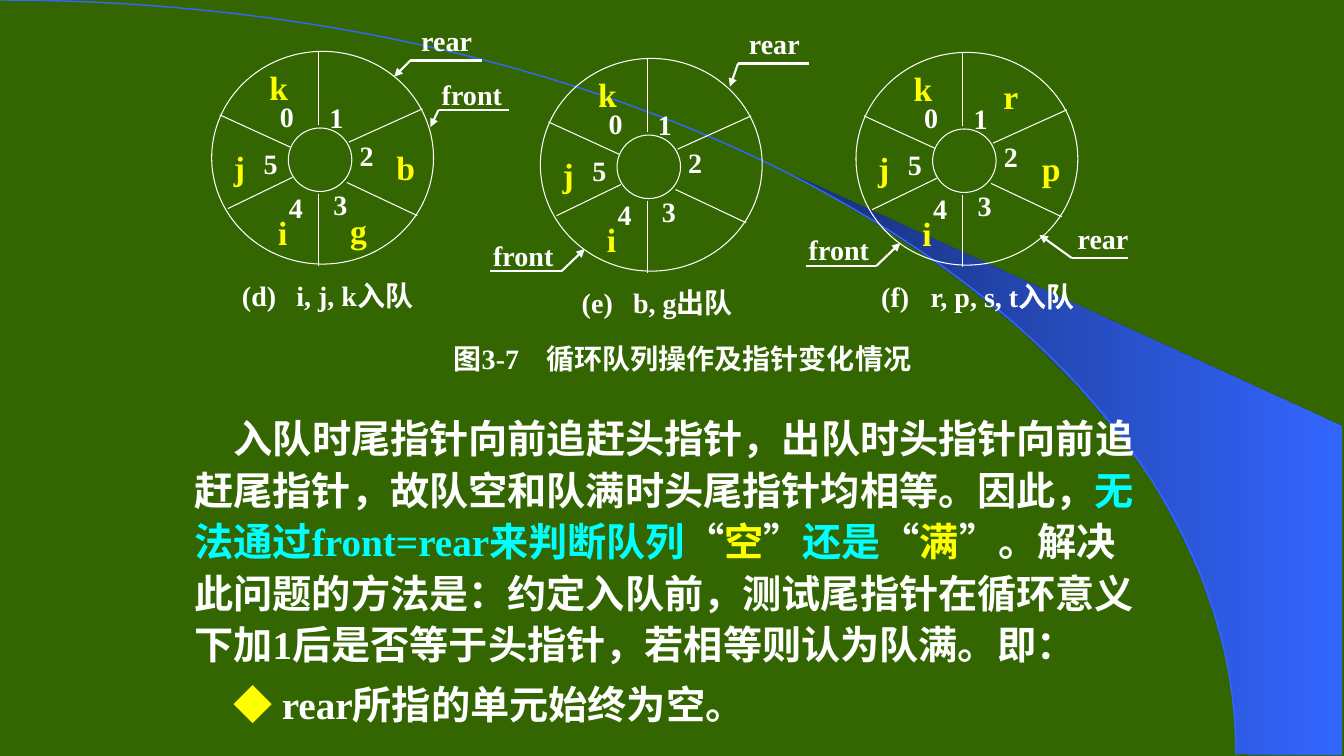
import pptx
import pptx.util
import pptx.dml.color
import pptx.enum.shapes
import pptx.enum.text
import pptx.oxml.ns
from lxml import etree
from dataclasses import dataclass


@dataclass(frozen=True)
class Theme:
    """Colours, fonts, type sizes and line widths."""
    back: str = "336600"
    white: str = "FFFFFF"
    gold: str = "FFFF00"
    aqua: str = "00FFFF"
    blue: str = "3366FF"
    navy: str = "182F76"
    latin: str = "Times New Roman"
    asian: str = "Noto Sans CJK SC"
    small: int = 20
    cell: int = 24
    body: int = 28
    thin: float = 0.75
    bold: float = 1.5


T = Theme()

# Offsets from the top left corner of a wheel
SPOKES = [((1.06, 0), (1.06, 0.73)), ((1.06, 1.41), (1.06, 2.13)),
          ((1.36, 0.9), (2.09, 0.57)), ((0.16, 1.56), (0.8, 1.25)),
          ((1.34, 1.3), (2.04, 1.63)), ((0.08, 0.63), (0.78, 0.95))]
DIGITS = [(0.55, 0.48), (1.04, 0.49), (1.34, 0.87),
          (1.08, 1.36), (0.64, 1.39), (0.39, 0.95)]
CELLS = {"i": (0.51, 1.6), "j": (0.08, 0.95), "k": (0.47, 0.16),
         "b": (1.73, 0.95), "g": (1.26, 1.58),
         "r": (1.34, 0.24), "p": (1.74, 0.95)}

# Pointers: name, centre and top of the name, elbow, far end, arrow tip
WHEELS = [
    {"at": (2.1, 0.51), "cells": "ijkbg",
     "title": ("(d)\ti, j, k入队", 2.4, 2.73, 0.54),
     "marks": [("rear", 4.43, 0.2, (4.07, 0.6), 4.78, (3.91, 0.76)),
               ("front", 4.68, 0.74, (4.35, 1.09), 5.05, (4.27, 1.26))]},
    {"at": (5.36, 0.58), "cells": "ijk",
     "title": ("(e)\tb, g出队", 5.77, 2.8, 0.51),
     "marks": [("rear", 7.68, 0.23, (7.32, 0.63), 8.02, (7.24, 0.86)),
               ("front", 5.19, 2.34, (5.57, 2.69), 4.86, (5.8, 2.47))]},
    {"at": (8.49, 0.52), "cells": "ijkrp",
     "title": ("(f)\tr, p, s, t入队", 8.74, 2.74, 0.49),
     "marks": [("front", 8.32, 2.28, (8.69, 2.64), 7.99, (8.93, 2.41)),
               ("rear", 10.94, 2.17, (10.63, 2.56), 11.19, (10.31, 2.33))]},
]
FIGURE = ("图3-7\t循环队列操作及指针变化情况", 4.5, 3.36, 0.92)

BODY = [
    [("入队时尾指针向前追赶头指针，出队时头指针向前追赶尾指针，"
      "故队空和队满时头尾指针均相等。因此，", T.white),
     ("无法通过", T.aqua), ("front=rear", T.aqua), ("来判断队列", T.aqua),
     ("“", T.white), ("空", T.gold), ("”", T.white), ("还是", T.aqua),
     ("“", T.white), ("满", T.gold),
     ("”。解决此问题的方法是：约定入队前，测试尾指针在循环意义下加", T.white),
     ("1", T.white), ("后是否等于头指针，若相等则认为队满。即：", T.white)],
    [("◆ ", T.gold), ("rear", T.white), ("所指的单元始终为空。", T.white)],
]
SWOOSH = [(12.27, 7.48), (13.31, 7.49), (13.31, 4.23), (7.86, 1.73),
          (8.32, 1.99), (8.7, 2.22), (9.13, 2.5), (9.55, 2.8), (10.16, 3.3),
          (10.7, 3.84), (11.1, 4.31), (11.44, 4.79), (11.71, 5.28),
          (11.91, 5.72), (12.04, 6.09), (12.17, 6.56), (12.23, 6.96)]
ARC = [(0, 0), (6.77, 0), (12.26, 3.35), (12.26, 7.49)]

Inches, Pt = pptx.util.Inches, pptx.util.Pt
Align = pptx.enum.text.PP_ALIGN
qn = pptx.oxml.ns.qn

deck = pptx.Presentation()
deck.slide_width, deck.slide_height = Inches(13.33), Inches(7.5)
slide = deck.slides.add_slide(deck.slide_layouts[6])
shapes = slide.shapes


def tint(code):
    """Turn a hex code into a colour."""
    return pptx.dml.color.RGBColor.from_string(code)


def ink(item, code, width):
    """Set the line colour and width of a shape."""
    item.line.color.rgb = tint(code)
    item.line.width = Pt(width)


def outline(points, close):
    """Add a freeform through points given in inches."""
    spots = [(Inches(x), Inches(y)) for x, y in points]
    maker = shapes.build_freeform(*spots[0], scale=1.0)
    maker.add_line_segments(spots[1:], close=close)
    item = maker.convert_to_shape()
    item.shadow.inherit = False
    return item


def curve(ends, steps=60):
    """Return points along a cubic curve."""
    spots = []
    for n in range(steps + 1):
        t = n / steps
        rates = [(1 - t) ** 3, 3 * t * (1 - t) ** 2, 3 * t * t * (1 - t), t ** 3]
        spots.append(tuple(sum(r * e[k] for r, e in zip(rates, ends))
                           for k in (0, 1)))
    return spots


def ring(x, y, wide, high):
    """Add an unfilled ellipse."""
    item = shapes.add_shape(pptx.enum.shapes.MSO_SHAPE.OVAL,
                            *map(Inches, (x, y, wide, high)))
    item.shadow.inherit = False
    item.fill.background()
    ink(item, T.white, T.thin)


def line(start, end, width, arrow=False):
    """Add a straight line, with an arrowhead at its end if asked."""
    item = shapes.add_connector(pptx.enum.shapes.MSO_CONNECTOR.STRAIGHT,
                                *map(Inches, (*start, *end)))
    ink(item, T.white, width)
    props = item._element.spPr
    if arrow:
        etree.SubElement(props.find(qn("a:ln")), qn("a:tailEnd"), type="triangle")
    etree.SubElement(props, qn("a:effectLst"))


def write(para, runs, size):
    """Fill a paragraph with bold runs of text and colour."""
    for text, code in runs:
        run = para.add_run()
        run.text = text
        font = run.font
        west = any(c.isascii() and c.isalnum() for c in text)
        font.name = T.latin if west else T.asian
        font.size, font.bold, font.color.rgb = Pt(size), True, tint(code)
        latin = run._r.rPr.find(qn("a:latin"))
        latin.addnext(etree.Element(qn("a:ea"), typeface=T.asian))


def frame(x, y, wide, high):
    """Add a text box and return its text frame."""
    return shapes.add_textbox(*map(Inches, (x, y, wide, high))).text_frame


def label(text, x, y, wide, high, size, code, align=Align.CENTER):
    """Add one line of text, centred in height; return its paragraph."""
    box = frame(x, y, wide, high)
    box.margin_left = box.margin_right = box.margin_top = box.margin_bottom = 0
    box.word_wrap = align == Align.LEFT
    box.vertical_anchor = pptx.enum.text.MSO_ANCHOR.MIDDLE
    para = box.paragraphs[0]
    para.alignment = align
    write(para, [(text, code)], size)
    return para


def title(text, x, y, gap, wide=2.2):
    """Add a caption whose number and words are parted by a tab stop."""
    para = label(text, x, y, wide, 0.39, T.small, T.white, Align.LEFT)
    stops = etree.SubElement(para._p.get_or_add_pPr(), qn("a:tabLst"))
    etree.SubElement(stops, qn("a:tab"), pos=str(Inches(gap)), algn="l")


def wheel(data):
    """Draw one queue ring with its cells, caption and pointers."""
    left, top = data["at"]

    def move(spot):
        """Shift an offset to this wheel."""
        return left + spot[0], top + spot[1]

    ring(*move((0.76, 0.76)), 0.63, 0.63)
    ring(left, top, 2.2, 2.11)
    for start, end in SPOKES:
        line(move(start), move(end), T.thin)
    for digit, spot in enumerate(DIGITS):
        label(str(digit), *move(spot), 0.39, 0.32, T.small, T.white)
    for cell in data["cells"]:
        label(cell, *move(CELLS[cell]), 0.39, 0.39, T.cell, T.gold)
    title(*data["title"])
    for name, mid, high, elbow, far, tip in data["marks"]:
        label(name, mid - 0.35, high, 0.7, 0.39, T.small, T.white)
        line(elbow, (far, elbow[1]), T.bold)
        line(elbow, tip, T.bold, arrow=True)


def prose():
    """Add the body text."""
    box = frame(1.83, 4.02, 9.58, 3.23)
    box.word_wrap = True
    first, last = box.paragraphs[0], box.add_paragraph()
    for para, runs in zip((first, last), BODY):
        para.line_spacing = Pt(36.8)
        write(para, runs, T.body)
    first._p.get_or_add_pPr().set("indent", str(Inches(0.39)))
    last._p.get_or_add_pPr().set("marL", str(Inches(0.39)))
    last.space_before = Pt(6)


slide.background.fill.solid()
slide.background.fill.fore_color.rgb = tint(T.back)
swoosh = outline(SWOOSH, True)
swoosh.line.fill.background()
swoosh.fill.gradient()
swoosh.fill.gradient_angle = 0
for stop, code in zip(swoosh.fill.gradient_stops, (T.navy, T.blue)):
    stop.color.rgb = tint(code)
arc = outline(curve(ARC), False)
arc.fill.background()
ink(arc, T.blue, 1)
prose()
for data in WHEELS:
    wheel(data)
title(*FIGURE, wide=4.8)
deck.save("out.pptx")
